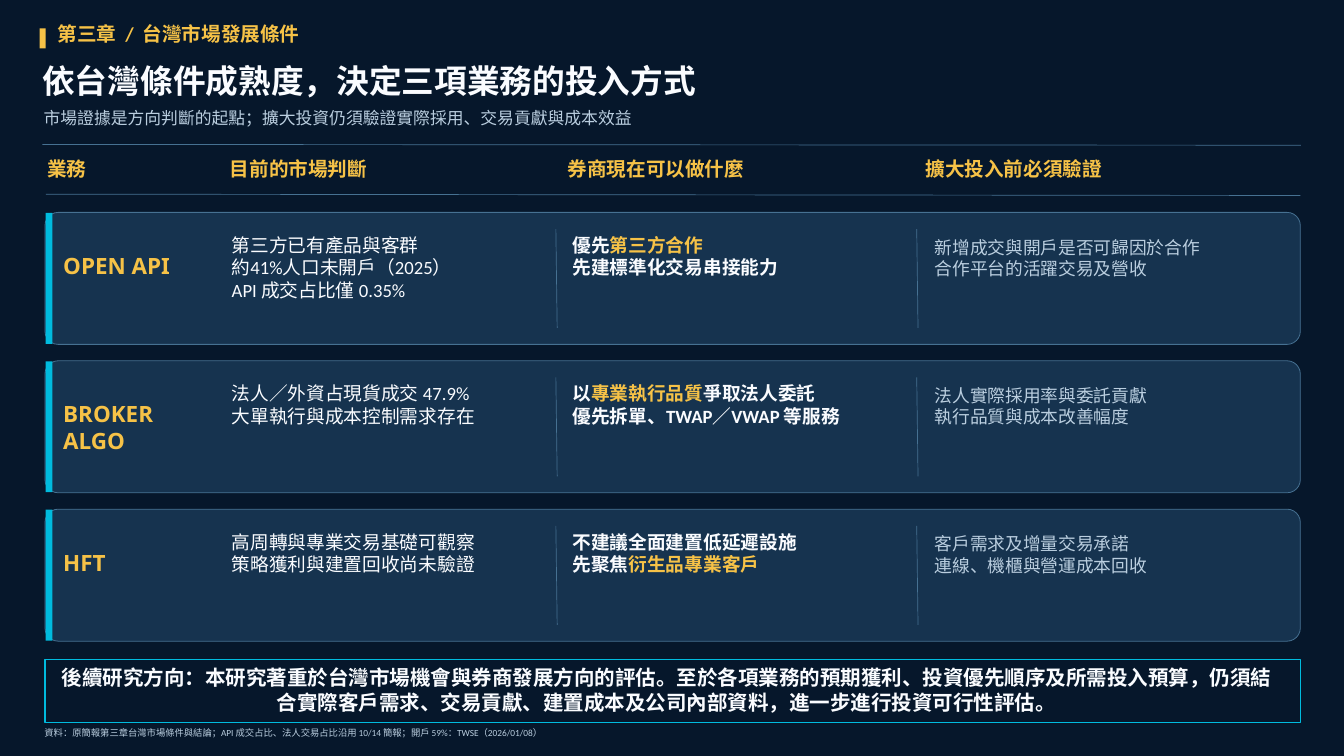
from dataclasses import dataclass

from lxml.etree import SubElement
from pptx import Presentation
from pptx.dml.color import RGBColor
from pptx.enum.shapes import MSO_CONNECTOR as Connector, MSO_SHAPE as Shape
from pptx.enum.text import PP_ALIGN as Align
from pptx.oxml.ns import qn
from pptx.util import Cm, Pt


@dataclass(frozen=True)
class Theme:
    navy: str = "06172B"
    card: str = "16334F"
    gold: str = "F6C247"
    cyan: str = "00BBDE"
    white: str = "FAFCFF"
    mist: str = "BACEDF"
    rule: str = "467192"
    body_font: str = "Calibri"
    name_font: str = "Noto Sans"
    title: int = 35
    name: int = 24
    conclusion: int = 22
    heading: int = 21
    body: int = 20
    check: int = 19
    subtitle: int = 18
    source: int = 10


class SlideBuilder:
    def __init__(self, deck, theme):
        self.theme = theme
        self.page = deck.slides.add_slide(deck.slide_layouts[6])
        fill = self.page.background.fill
        fill.solid()
        fill.fore_color.rgb = RGBColor.from_string(theme.navy)

    def panel(self, left, top, width, height, fill, line=None, weight=0, corner=0):
        kind = Shape.ROUNDED_RECTANGLE if corner else Shape.RECTANGLE
        box = self.page.shapes.add_shape(kind, Cm(left), Cm(top), Cm(width), Cm(height))
        box.shadow.inherit = False
        box.fill.solid()
        box.fill.fore_color.rgb = RGBColor.from_string(fill)
        if corner:
            box.adjustments[0] = corner
        if line:
            box.line.color.rgb = RGBColor.from_string(line)
            box.line.width = Pt(weight)
        else:
            box.line.fill.background()

    def rule(self, left, top, right, bottom):
        line = self.page.shapes.add_connector(
            Connector.STRAIGHT, Cm(left), Cm(top), Cm(right), Cm(bottom))
        line.line.color.rgb = RGBColor.from_string(self.theme.rule)
        line.line.width = Pt(0.75)
        SubElement(line._element.spPr, qn("a:effectLst"))

    def text(self, left, top, width, height, lines, size, color,
             bold=False, font=None, align=Align.LEFT):
        box = self.page.shapes.add_textbox(Cm(left), Cm(top), Cm(width), Cm(height))
        frame = box.text_frame
        frame.word_wrap = True
        frame.margin_left = frame.margin_right = 0
        frame.margin_top = frame.margin_bottom = 0
        for index, line in enumerate(lines):
            para = frame.add_paragraph() if index else frame.paragraphs[0]
            para.alignment = align
            para.line_spacing = Pt(size * 1.2)
            for part in [line] if isinstance(line, str) else line:
                words, tint = (part, color) if isinstance(part, str) else part
                span = para.add_run()
                span.text = words
                span.font.name = font or self.theme.body_font
                span.font.size = Pt(size)
                span.font.bold = bold
                span.font.color.rgb = RGBColor.from_string(tint)

    def business(self, top, name, market, action, check):
        theme = self.theme
        self.panel(1.7, top, 47.45, 4.99, theme.card, theme.rule, 0.85, corner=0.1)
        self.panel(1.73, top + 0.02, 0.25, 4.95, theme.cyan)
        self.text(2.39, top + 1.5, 5.69, 1.73, name, theme.name, theme.gold,
                  bold=True, font=theme.name_font)
        self.text(8.76, top + 0.81, 11.94, 3.2, market, theme.body, theme.white)
        self.text(21.64, top + 0.81, 12.7, 1.8, action, theme.body, theme.white, bold=True)
        self.text(35.33, top + 0.91, 13.16, 3.15, check, theme.check, theme.mist)
        for left in (21.01, 34.65):
            self.rule(left, top + 0.63, left + 0.05, top + 4.37)


THEME = Theme()
COLUMNS = [
    (1.78, 6.48, "業務"),
    (8.69, 12.32, "目前的市場判斷"),
    (21.46, 13.16, "券商現在可以做什麼"),
    (34.98, 14.05, "擴大投入前必須驗證"),
]
BUSINESSES = [
    (["OPEN API"],
     ["第三方已有產品與客群", "約41%人口未開戶（2025）", "API 成交占比僅 0.35%"],
     [["優先", ("第三方合作", THEME.gold)], "先建標準化交易串接能力"],
     ["新增成交與開戶是否可歸因於合作", "合作平台的活躍交易及營收"]),
    (["BROKER", "ALGO"],
     ["法人／外資占現貨成交 47.9%", "大單執行與成本控制需求存在"],
     [["以", ("專業執行品質", THEME.gold), "爭取法人委託"],
      "優先拆單、TWAP／VWAP 等服務"],
     ["法人實際採用率與委託貢獻", "執行品質與成本改善幅度"]),
    (["HFT"],
     ["高周轉與專業交易基礎可觀察", "策略獲利與建置回收尚未驗證"],
     ["不建議全面建置低延遲設施", ["先聚焦", ("衍生品專業客戶", THEME.gold)]],
     ["客戶需求及增量交易承諾", "連線、機櫃與營運成本回收"]),
]
CONCLUSION = (
    "後續研究方向：本研究著重於台灣市場機會與券商發展方向的評估。"
    "至於各項業務的預期獲利、投資優先順序及所需投入預算，"
    "仍須結合實際客戶需求、交易貢獻、建置成本及公司內部資料，"
    "進一步進行投資可行性評估。"
)
SOURCE = (
    "資料：原簡報第三章台灣市場條件與結論；API 成交占比、法人交易占比沿用 10/14 簡報；"
    "開戶 59%：TWSE（2026/01/08）"
)
FIRST_CARD, CARD_PITCH = 8.03, 5.61


def main():
    deck = Presentation()
    deck.slide_width, deck.slide_height = Cm(50.8), Cm(28.58)
    slide = SlideBuilder(deck, THEME)

    slide.panel(1.5, 1.07, 0.23, 0.76, THEME.gold)
    slide.text(2.18, 0.81, 30.48, 1.19, ["第三章  /  台灣市場發展條件"],
               THEME.heading, THEME.gold, bold=True)
    slide.text(1.6, 2.29, 47.88, 1.85, ["依台灣條件成熟度，決定三項業務的投入方式"],
               THEME.title, THEME.white, bold=True)
    slide.text(1.65, 4.09, 46.74, 1.04,
               ["市場證據是方向判斷的起點；擴大投資仍須驗證實際採用、交易貢獻與成本效益"],
               THEME.subtitle, THEME.mist)

    slide.rule(1.6, 5.46, 49.17, 5.49)
    for left, width, heading in COLUMNS:
        slide.text(left, 5.94, width, 1.22, [heading], THEME.heading, THEME.gold, bold=True)
    slide.rule(1.73, 7.34, 49.15, 7.39)

    for row, business in enumerate(BUSINESSES):
        slide.business(FIRST_CARD + row * CARD_PITCH, *business)

    slide.panel(1.7, 24.92, 47.47, 2.41, THEME.navy, THEME.cyan, 1.3)
    slide.text(1.98, 25.15, 46.41, 1.98, [CONCLUSION], THEME.conclusion, THEME.white,
               bold=True, align=Align.CENTER)
    slide.text(1.68, 27.51, 47.09, 0.53, [SOURCE], THEME.source, THEME.mist)

    deck.save("out.pptx")


if __name__ == "__main__":
    main()
